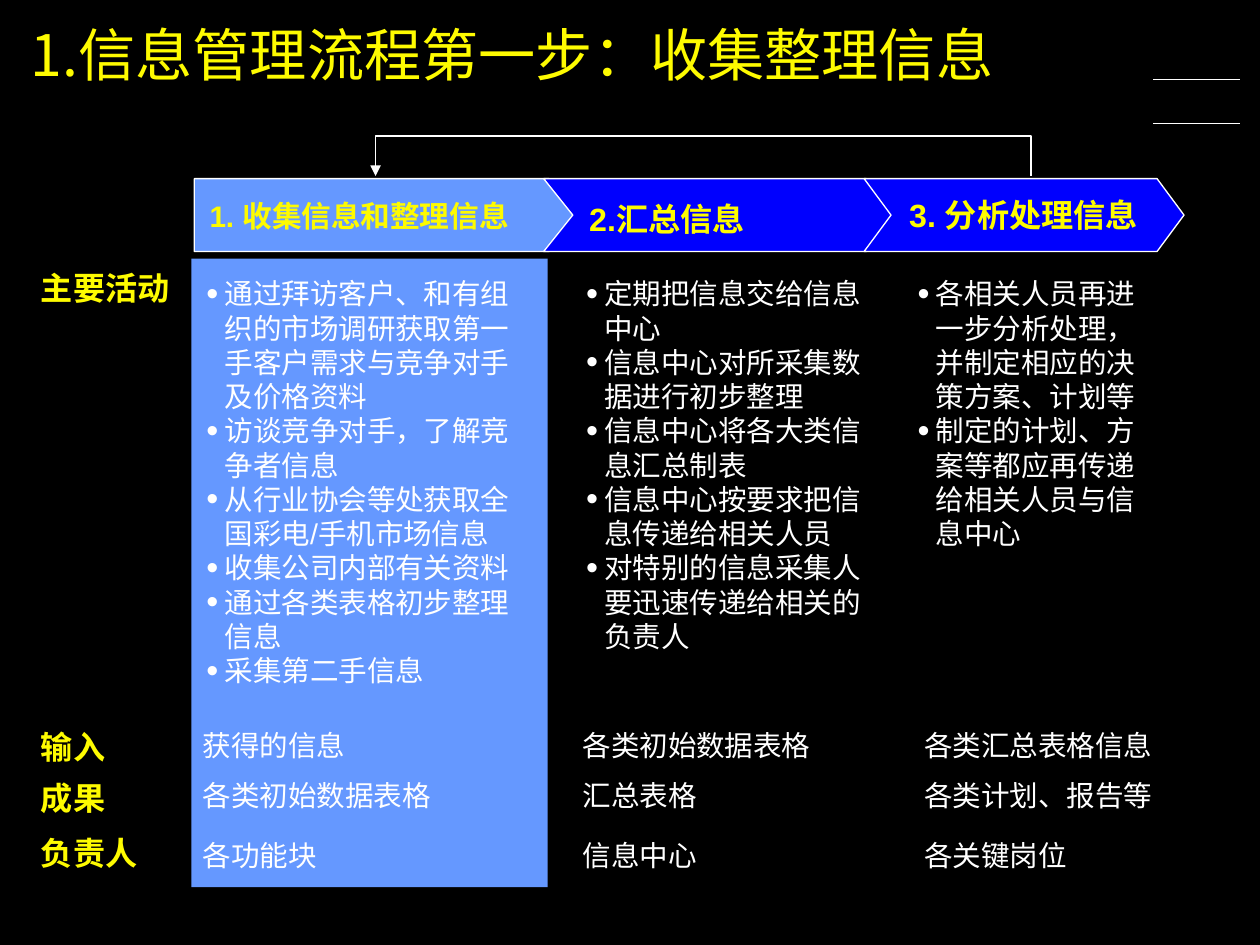
from lxml import etree
from pptx import Presentation
from pptx.dml.color import RGBColor
from pptx.enum import shapes, text
from pptx.oxml import ns
from pptx.util import Cm, Pt

BLACK = RGBColor(0x00, 0x00, 0x00)
WHITE = RGBColor(0xFF, 0xFF, 0xFF)
YELLOW = RGBColor(0xFE, 0xFB, 0x00)
LIGHT_BLUE = RGBColor(0x65, 0x98, 0xFF)
BLUE = RGBColor(0x00, 0x00, 0xFE)
LATIN = "Arial"
CHINESE = "Noto Sans CJK SC"

STEPS = [
    (shapes.MSO_SHAPE.PENTAGON, 3.84, 7.64, 0.44, LIGHT_BLUE),
    (shapes.MSO_SHAPE.CHEVRON, 10.74, 6.95, 0.4, BLUE),
    (shapes.MSO_SHAPE.CHEVRON, 17.07, 6.32, 0.37, BLUE),
]
HEADINGS = [
    ("1. 收集信息和整理信息", (4.01, 3.73, 6.73, 1.07), 16.6, 0.64),
    ("2.汇总信息", (11.51, 3.84, 5.61, 0.97), 18, 0),
    ("3. 分析处理信息", (17.83, 3.63, 5.03, 1.22), 18, 0.64),
]
ACTIVITIES = [
    (4.06, 6.38, [
        "通过拜访客户、和有组织的市场调研获取第一手客户需求与竞争对手及价格资料",
        "访谈竞争对手，了解竞争者信息",
        "从行业协会等处获取全国彩电/手机市场信息",
        "收集公司内部有关资料",
        "通过各类表格初步整理信息",
        "采集第二手信息",
    ]),
    (11.56, 5.54, [
        "定期把信息交给信息中心",
        "信息中心对所采集数据进行初步整理",
        "信息中心将各大类信息汇总制表",
        "信息中心按要求把信息传递给相关人员",
        "对特别的信息采集人要迅速传递给相关的负责人",
    ]),
    (18.11, 4.8, [
        "各相关人员再进一步分析处理，并制定相应的决策方案、计划等",
        "制定的计划、方案等都应再传递给相关人员与信息中心",
    ]),
]
DETAIL_LEFTS = (4.01, 11.51, 18.26)
ROWS = [
    ("主要活动", 5.31, 5.46, ()),
    ("输入", 14.38, 14.38, ("获得的信息", "各类初始数据表格", "各类汇总表格信息")),
    ("成果", 15.37, 15.37, ("各类初始数据表格", "汇总表格", "各类计划、报告等")),
    ("负责人", 16.46, 16.56, ("各功能块", "信息中心", "各关键岗位")),
]


def format_paragraph(paragraph, size, color, bold, latin):
    paragraph.line_spacing = Pt(round(size * 1.2, 1))
    for run in paragraph.runs:
        font = run.font
        font.name, font.size, font.bold = latin, Pt(size), bold
        font.color.rgb = color
        east_asian = etree.SubElement(font._element, ns.qn("a:ea"))
        east_asian.set("typeface", CHINESE)


def add_text(slide, content, box, size, color, bold=False, latin=LATIN):
    frame = slide.shapes.add_textbox(*map(Cm, box)).text_frame
    frame.word_wrap = True
    frame.margin_left = frame.margin_right = 0
    frame.margin_top = frame.margin_bottom = 0
    frame.text = content
    for paragraph in frame.paragraphs:
        format_paragraph(paragraph, size, color, bold, latin)
    return frame


def set_hanging(paragraph, margin, hang):
    properties = paragraph._p.get_or_add_pPr()
    properties.set("marL", str(Cm(margin)))
    properties.set("indent", str(-Cm(hang)))
    return properties


def add_bullets(slide, items, box):
    frame = add_text(slide, "\n".join(items), box, 16, WHITE)
    for paragraph in frame.paragraphs:
        paragraph.level = 1
        properties = set_hanging(paragraph, 0.38, 0.36)
        color = etree.SubElement(properties, ns.qn("a:buClr"))
        etree.SubElement(color, ns.qn("a:srgbClr")).set("val", str(WHITE))
        etree.SubElement(properties, ns.qn("a:buSzPct")).set("val", "120000")
        etree.SubElement(properties, ns.qn("a:buFont")).set("typeface", LATIN)
        etree.SubElement(properties, ns.qn("a:buChar")).set("char", "•")


def add_heading(slide, content, box, size, hang):
    frame = add_text(slide, content, box, size, YELLOW, bold=True)
    frame.margin_left = frame.margin_right = Cm(0.13)
    frame.vertical_anchor = text.MSO_ANCHOR.MIDDLE
    set_hanging(frame.paragraphs[0], hang, hang)


def add_block(slide, preset, box, color):
    block = slide.shapes.add_shape(preset, *map(Cm, box))
    block.shadow.inherit = False
    block.fill.solid()
    block.fill.fore_color.rgb = color
    block.line.fill.background()
    return block


def add_step(slide, preset, left, width, point, color):
    step = add_block(slide, preset, (left, 3.53, width, 1.44), color)
    step.adjustments[0] = point
    step.line.color.rgb = WHITE
    step.line.width = Pt(0.75)


def add_rule(slide, top):
    rule = slide.shapes.add_connector(
        shapes.MSO_CONNECTOR.STRAIGHT, Cm(22.78), Cm(top), Cm(24.49), Cm(top))
    rule.line.color.rgb = WHITE
    rule.line.width = Pt(1)
    etree.SubElement(rule._element.spPr, ns.qn("a:effectLst"))


def add_feedback_arrow(slide, start, end, top, bottom):
    builder = slide.shapes.build_freeform(Cm(start), Cm(bottom))
    corners = [(start, top), (end, top), (end, bottom)]
    builder.add_line_segments([(Cm(x), Cm(y)) for x, y in corners], close=False)
    feedback = builder.convert_to_shape()
    feedback.shadow.inherit = False
    feedback.fill.background()
    feedback.line.color.rgb = WHITE
    feedback.line.width = Pt(1)
    outline = feedback.line._get_or_add_ln()
    etree.SubElement(outline, ns.qn("a:tailEnd")).set("type", "triangle")


def main():
    deck = Presentation()
    deck.slide_width, deck.slide_height = Cm(24.89), Cm(18.67)
    slide = deck.slides.add_slide(deck.slide_layouts[6])
    slide.background.fill.solid()
    slide.background.fill.fore_color.rgb = BLACK

    for top in (1.57, 2.44):
        add_rule(slide, top)
    add_text(slide, "1.信息管理流程第一步：收集整理信息",
             (0.61, 0.38, 20.24, 1.35), 32, YELLOW, latin=CHINESE)
    add_block(slide, shapes.MSO_SHAPE.RECTANGLE, (3.78, 5.11, 7.04, 12.42), LIGHT_BLUE)
    for step in STEPS:
        add_step(slide, *step)
    for heading in HEADINGS:
        add_heading(slide, *heading)
    for left, width, items in ACTIVITIES:
        add_bullets(slide, items, (left, 5.46, width, 8.13))
    for label, label_top, detail_top, details in ROWS:
        add_text(slide, label, (0.81, label_top, 3.81, 0.76), 18, YELLOW, bold=True)
        for left, detail in zip(DETAIL_LEFTS, details):
            add_text(slide, detail, (left, detail_top, 5.69, 0.69), 16, WHITE)
    add_feedback_arrow(slide, 20.37, 7.42, 2.69, 3.48)

    deck.save("out.pptx")


if __name__ == "__main__":
    main()
